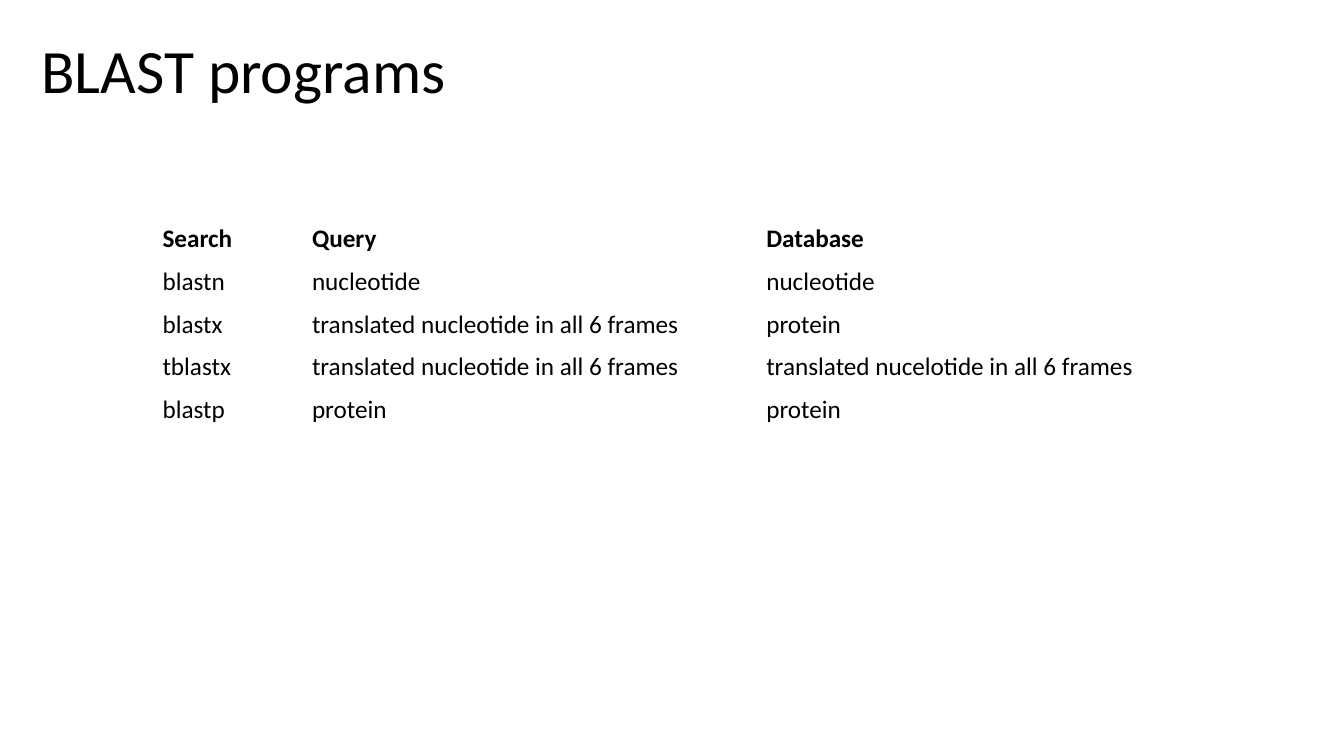
from pptx import Presentation
from pptx.dml.color import RGBColor
from pptx.enum.text import MSO_ANCHOR
from pptx.util import Pt

COLORS = {"text": "000000"}
FONT = "Calibri"

COLUMN_WIDTHS = [106.8, 324.5, 353.5]
ROW_HEIGHT = 30.5
PROGRAMS = [
    ("Search", "Query", "Database"),
    ("blastn", "nucleotide", "nucleotide"),
    ("blastx", "translated nucleotide in all 6 frames", "protein"),
    ("tblastx", "translated nucleotide in all 6 frames",
     "translated nucelotide in all 6 frames"),
    ("blastp", "protein", "protein"),
]


def write(text_frame, text, size, bold=False):
    text_frame.text = text
    paragraph = text_frame.paragraphs[0]
    font = paragraph.runs[0].font
    font.name = FONT
    font.size = Pt(size)
    font.bold = bold
    font.color.rgb = RGBColor.from_string(COLORS["text"])
    return paragraph


def add_title(slide, text, left, top, width, height):
    title = slide.shapes.add_textbox(Pt(left), Pt(top), Pt(width), Pt(height))
    title.text_frame.word_wrap = True
    title.text_frame.vertical_anchor = MSO_ANCHOR.MIDDLE
    write(title.text_frame, text, 44).line_spacing = 0.9


def add_program_table(slide, rows, left, top):
    frame = slide.shapes.add_table(
        len(rows), len(COLUMN_WIDTHS), Pt(left), Pt(top),
        Pt(sum(COLUMN_WIDTHS)), Pt(ROW_HEIGHT * len(rows)))
    programs = frame.table
    programs.first_row = True
    programs.horz_banding = False
    for column, width in zip(programs.columns, COLUMN_WIDTHS):
        column.width = Pt(width)
    for row_index, entries in enumerate(rows):
        programs.rows[row_index].height = Pt(ROW_HEIGHT)
        for column_index, entry in enumerate(entries):
            cell = programs.cell(row_index, column_index)
            cell.fill.background()
            write(cell.text_frame, entry, 18, bold=row_index == 0)


def main():
    presentation = Presentation()
    presentation.slide_width = Pt(960)
    presentation.slide_height = Pt(540)
    slide = presentation.slides.add_slide(presentation.slide_layouts[6])

    # Heading
    add_title(slide, "BLAST programs", 22.5, 0.5, 828, 104.4)

    # Search programs with their query and database types
    add_program_table(slide, PROGRAMS, 108.9, 156.2)

    presentation.save("out.pptx")


if __name__ == "__main__":
    main()
